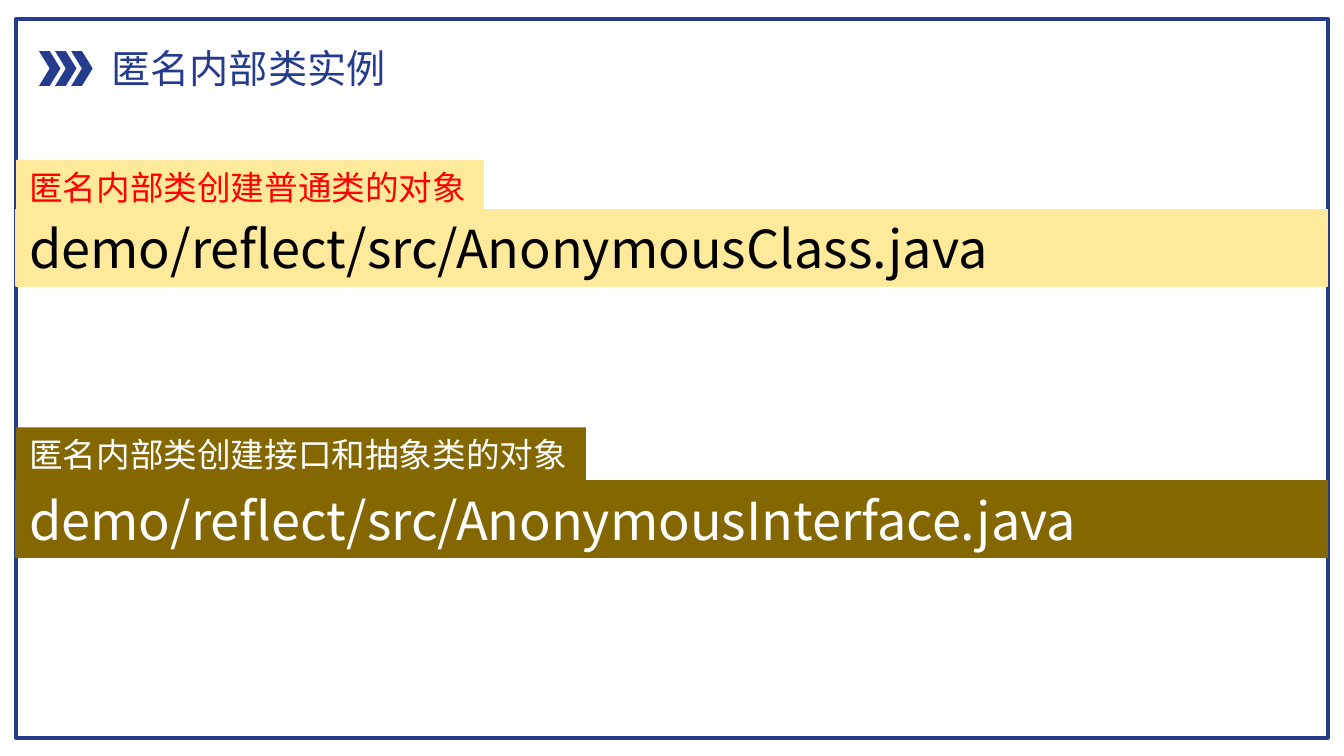
from dataclasses import dataclass

from lxml import etree
from pptx import Presentation
from pptx.dml.color import RGBColor
from pptx.enum.shapes import MSO_SHAPE
from pptx.enum.text import MSO_ANCHOR, MSO_AUTO_SIZE, PP_ALIGN
from pptx.oxml.ns import qn
from pptx.shapes.autoshape import Shape
from pptx.slide import Slide
from pptx.util import Emu, Pt

RECTANGLE = MSO_SHAPE.RECTANGLE
CHEVRON = MSO_SHAPE.CHEVRON
MIDDLE = MSO_ANCHOR.MIDDLE
LEFT = PP_ALIGN.LEFT
NO_RESIZE = MSO_AUTO_SIZE.NONE

EMU_PER_PX = 4572
SLIDE_WIDTH, SLIDE_HEIGHT = 2000, 1125
FRAME_LEFT, FRAME_TOP = 24, 28
FRAME_WIDTH, FRAME_HEIGHT = 1952, 1070
CHEVRON_COUNT, CHEVRON_STEP = 3, 24
LABEL_HEIGHT, BAR_HEIGHT = 80, 114


@dataclass(frozen=True)
class Theme:
    navy: str = "253C8E"
    sand: str = "FFEA9C"
    olive: str = "846700"
    red: str = "FF0000"
    black: str = "000000"
    white: str = "FFFFFF"
    main_font: str = "Noto Sans CJK SC"
    label_font: str = "Calibri"
    title_size: int = 21
    label_size: int = 18
    file_size: int = 28
    frame_line: float = 2
    bar_line: float = 0.75


@dataclass(frozen=True)
class Box:
    left: int
    top: int
    width: int
    height: int

    def emu(self) -> tuple[Emu, ...]:
        lengths = (self.left, self.top, self.width, self.height)
        return tuple(Emu(length * EMU_PER_PX) for length in lengths)


@dataclass(frozen=True)
class TextStyle:
    size: int
    font: str
    color: str


@dataclass(frozen=True)
class Example:
    label: str
    file_name: str
    label_top: int
    label_width: int
    bar_top: int
    fill: str
    label_color: str
    file_color: str


THEME = Theme()
EXAMPLES = (
    Example("匿名内部类创建普通类的对象", "demo/reflect/src/AnonymousClass.java",
            238, 696, 312, THEME.sand, THEME.red, THEME.black),
    Example("匿名内部类创建接口和抽象类的对象", "demo/reflect/src/AnonymousInterface.java",
            636, 848, 716, THEME.olive, THEME.white, THEME.white),
)


def add_panel(slide: Slide, kind: int, box: Box, fill: str = "",
              line: str = "", line_width: float = 0) -> Shape:
    shape = slide.shapes.add_shape(kind, *box.emu())
    shape.shadow.inherit = False
    if fill:
        shape.fill.solid()
        shape.fill.fore_color.rgb = RGBColor.from_string(fill)
    else:
        shape.fill.background()
    if line:
        shape.line.color.rgb = RGBColor.from_string(line)
        shape.line.width = Pt(line_width)
    else:
        shape.line.fill.background()
    return shape


def set_text(shape: Shape, text: str, style: TextStyle, wrap: bool = False) -> None:
    text_frame = shape.text_frame
    text_frame.text = text
    text_frame.word_wrap = wrap
    text_frame.auto_size = NO_RESIZE
    text_frame.vertical_anchor = MIDDLE
    paragraph = text_frame.paragraphs[0]
    paragraph.alignment = LEFT
    font = paragraph.runs[0].font
    font.size = Pt(style.size)
    font.name = style.font
    font.color.rgb = RGBColor.from_string(style.color)
    properties = paragraph.runs[0]._r.get_or_add_rPr()
    etree.SubElement(properties, qn("a:ea"), typeface=THEME.main_font)


def add_heading(slide: Slide) -> None:
    for index in range(CHEVRON_COUNT):
        box = Box(58 + index * CHEVRON_STEP, 76, 32, 52)
        add_panel(slide, CHEVRON, box, THEME.navy)
    title = slide.shapes.add_textbox(*Box(146, 56, 452, 90).emu())
    style = TextStyle(THEME.title_size, THEME.main_font, THEME.navy)
    set_text(title, "匿名内部类实例", style)


def add_example(slide: Slide, example: Example) -> None:
    bar_box = Box(FRAME_LEFT, example.bar_top, FRAME_WIDTH, BAR_HEIGHT)
    bar = add_panel(slide, RECTANGLE, bar_box, example.fill, example.fill, THEME.bar_line)
    bar_style = TextStyle(THEME.file_size, THEME.main_font, example.file_color)
    set_text(bar, example.file_name, bar_style, wrap=True)

    label_box = Box(FRAME_LEFT, example.label_top, example.label_width, LABEL_HEIGHT)
    label = add_panel(slide, RECTANGLE, label_box, example.fill)
    label_style = TextStyle(THEME.label_size, THEME.label_font, example.label_color)
    set_text(label, example.label, label_style)


def main() -> None:
    presentation = Presentation()
    presentation.slide_width = Emu(SLIDE_WIDTH * EMU_PER_PX)
    presentation.slide_height = Emu(SLIDE_HEIGHT * EMU_PER_PX)
    slide = presentation.slides.add_slide(presentation.slide_layouts[6])
    frame = Box(FRAME_LEFT, FRAME_TOP, FRAME_WIDTH, FRAME_HEIGHT)
    add_panel(slide, RECTANGLE, frame, line=THEME.navy, line_width=THEME.frame_line)
    add_heading(slide)
    for example in EXAMPLES:
        add_example(slide, example)
    presentation.save("out.pptx")


if __name__ == "__main__":
    main()
